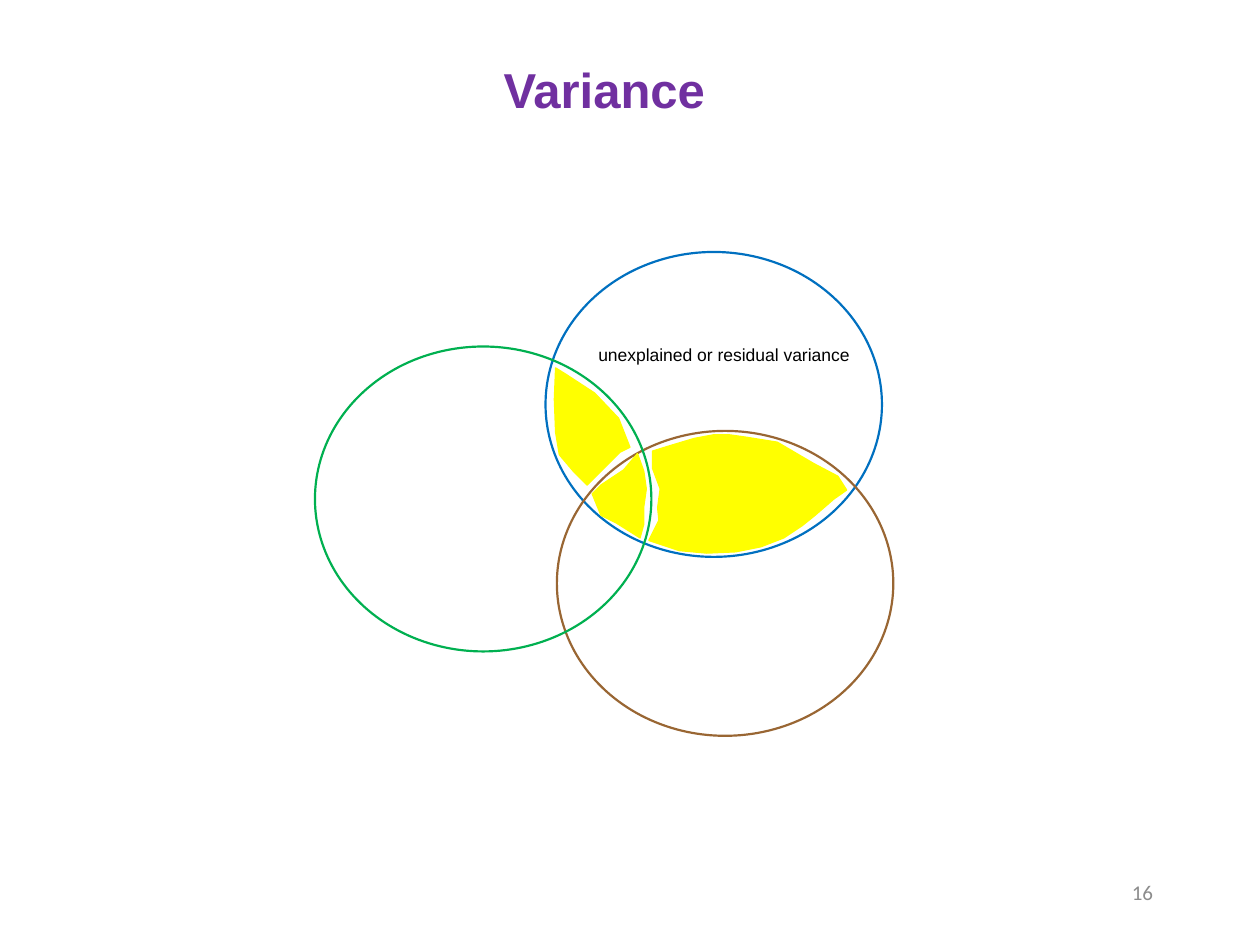
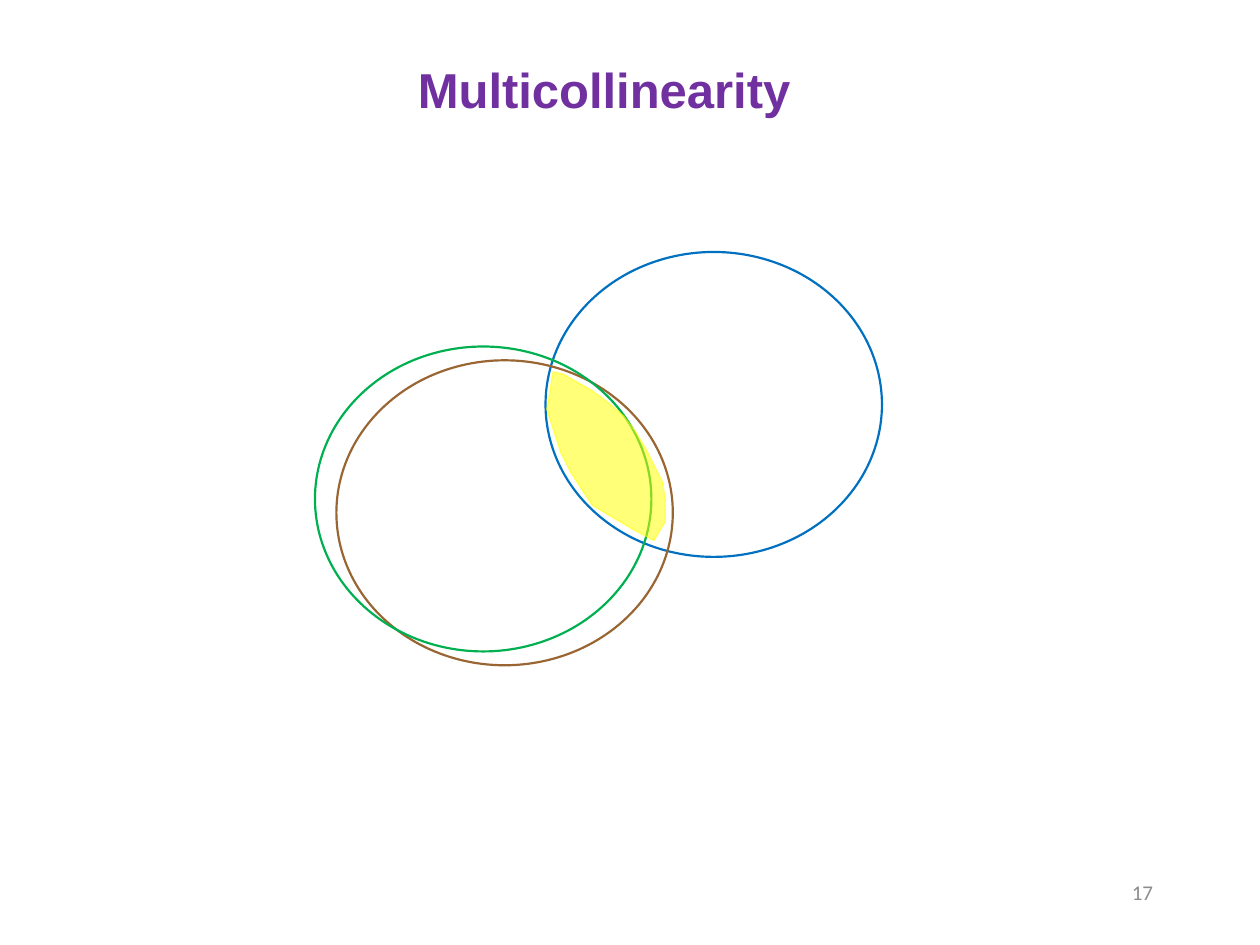
from lxml import etree
from pptx import Presentation
from pptx.dml.color import RGBColor
from pptx.enum.shapes import MSO_SHAPE
from pptx.enum.text import MSO_ANCHOR, PP_ALIGN
from pptx.oxml.ns import qn
from pptx.util import Inches, Pt

OVAL = MSO_SHAPE.OVAL
TOP, MIDDLE = MSO_ANCHOR.TOP, MSO_ANCHOR.MIDDLE
LEFT, CENTER, RIGHT = PP_ALIGN.LEFT, PP_ALIGN.CENTER, PP_ALIGN.RIGHT

PURPLE = RGBColor(0x70, 0x30, 0xA0)
BLUE = RGBColor(0x00, 0x70, 0xC0)
BROWN = RGBColor(0x99, 0x66, 0x33)
GREEN = RGBColor(0x00, 0xB0, 0x50)
YELLOW = RGBColor(0xFF, 0xFF, 0x00)
GRAY = RGBColor(0x8C, 0x8C, 0x8C)
BLACK = RGBColor(0, 0, 0)

WIDE, HIGH = 2.67, 2.42  # size of every circle

# Overlaps of the circles, as corner points in inches
GREEN_BLUE = [(4.41, 2.92), (4.4, 3.17), (4.41, 3.43), (4.44, 3.61), (4.55, 3.74),
              (4.66, 3.85), (4.92, 3.59), (5, 3.55), (4.91, 3.32), (4.72, 3.12),
              (4.49, 2.97)]
ALL_THREE = [(5.06, 3.6), (4.95, 3.73), (4.77, 3.85), (4.7, 3.92), (4.77, 4.09),
             (4.89, 4.15), (4.97, 4.2), (5.08, 4.27), (5.11, 4.16), (5.11, 4.02),
             (5.13, 3.88), (5.11, 3.74)]
BROWN_BLUE = [(5.15, 4.29), (5.39, 4.37), (5.61, 4.39), (5.84, 4.38), (6.04, 4.34),
              (6.22, 4.27), (6.37, 4.17), (6.47, 4.09), (6.62, 3.96), (6.72, 3.89),
              (6.65, 3.78), (6.46, 3.68), (6.17, 3.51), (5.92, 3.47), (5.78, 3.45),
              (5.67, 3.45), (5.51, 3.48), (5.31, 3.54), (5.18, 3.58), (5.18, 3.72),
              (5.24, 3.88), (5.22, 4.03), (5.23, 4.13)]
SHARED = [(4.39, 2.95), (4.34, 3.25), (4.45, 3.59), (4.53, 3.75), (4.7, 4.01),
          (5.02, 4.2), (5.19, 4.29), (5.28, 4.14), (5.28, 3.97), (5.26, 3.83),
          (5.13, 3.57), (5.04, 3.42), (4.95, 3.3), (4.82, 3.19), (4.7, 3.1),
          (4.47, 2.97)]

# Title, page number, place of the brown circle, overlaps, opacity, labels
SLIDES = [
    ("Variance", 16, (4.42, 3.42), [GREEN_BLUE, ALL_THREE, BROWN_BLUE], 100,
     [("unexplained or residual variance", (4.65, 2.68, 2.21, 0.27))]),
    ("Multicollinearity", 17, (2.67, 2.86), [SHARED], 53, []),
]


def add_text(slide, text, box, size=10, font="Arial", color=BLACK, bold=False,
             align=LEFT, anchor=TOP, wrap=True):
    frame = slide.shapes.add_textbox(*map(Inches, box)).text_frame
    frame.word_wrap = wrap
    frame.vertical_anchor = anchor
    para = frame.paragraphs[0]
    para.alignment = align
    run = para.add_run()
    run.text = text
    run.font.size = Pt(size)
    run.font.name = font
    run.font.bold = bold
    run.font.color.rgb = color


def add_patch(slide, points, alpha):
    start, *rest = [(Inches(x), Inches(y)) for x, y in points]
    pen = slide.shapes.build_freeform(*start)
    pen.add_line_segments(rest, close=True)
    patch = pen.convert_to_shape()
    patch.shadow.inherit = False
    patch.line.width = Pt(0.75)
    for fill in (patch.fill, patch.line.fill):
        fill.solid()
        fill.fore_color.rgb = YELLOW
    if alpha < 100:
        for color in patch.element.spPr.iter(qn("a:srgbClr")):
            etree.SubElement(color, qn("a:alpha")).set("val", str(alpha * 1000))


deck = Presentation()
deck.slide_width, deck.slide_height = Inches(10), Inches(7.5)

for title, page, spot, patches, alpha, labels in SLIDES:
    slide = deck.slides.add_slide(deck.slide_layouts[6])

    # Page number and title
    add_text(slide, str(page), (7.17, 6.83, 2.08, 0.5), size=12, font="Calibri",
             color=GRAY, align=RIGHT, anchor=MIDDLE)
    add_text(slide, title, (0.42, 0.33, 8.75, 0.75), size=28, color=PURPLE,
             bold=True, align=CENTER, anchor=MIDDLE)

    # Circles
    for (x, y), color in [((4.33, 2), BLUE), (spot, BROWN), ((2.5, 2.75), GREEN)]:
        ring = slide.shapes.add_shape(OVAL, Inches(x), Inches(y), Inches(WIDE), Inches(HIGH))
        ring.shadow.inherit = False
        ring.fill.background()
        ring.line.color.rgb = color
        ring.line.width = Pt(1.25)

    # Overlaps and labels
    for points in patches:
        add_patch(slide, points, alpha)
    for text, box in labels:
        add_text(slide, text, box, wrap=False)

deck.save("out.pptx")
